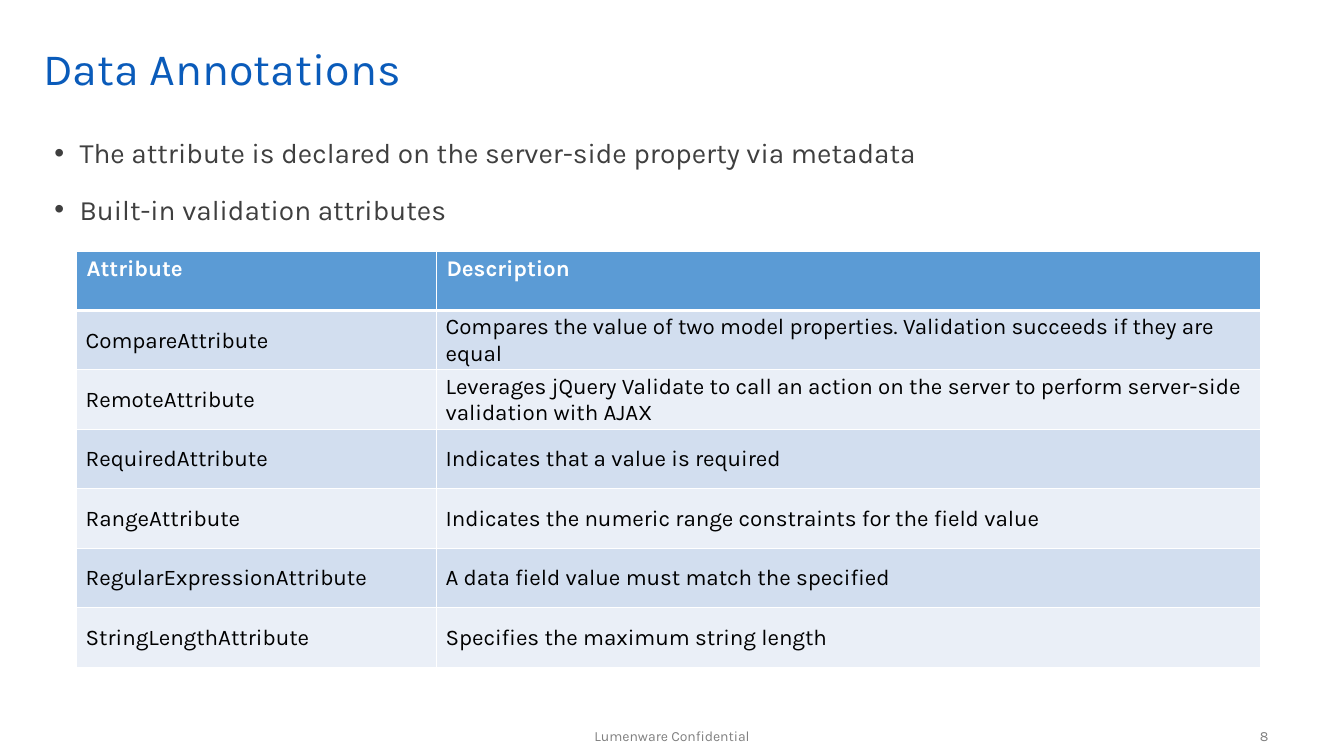
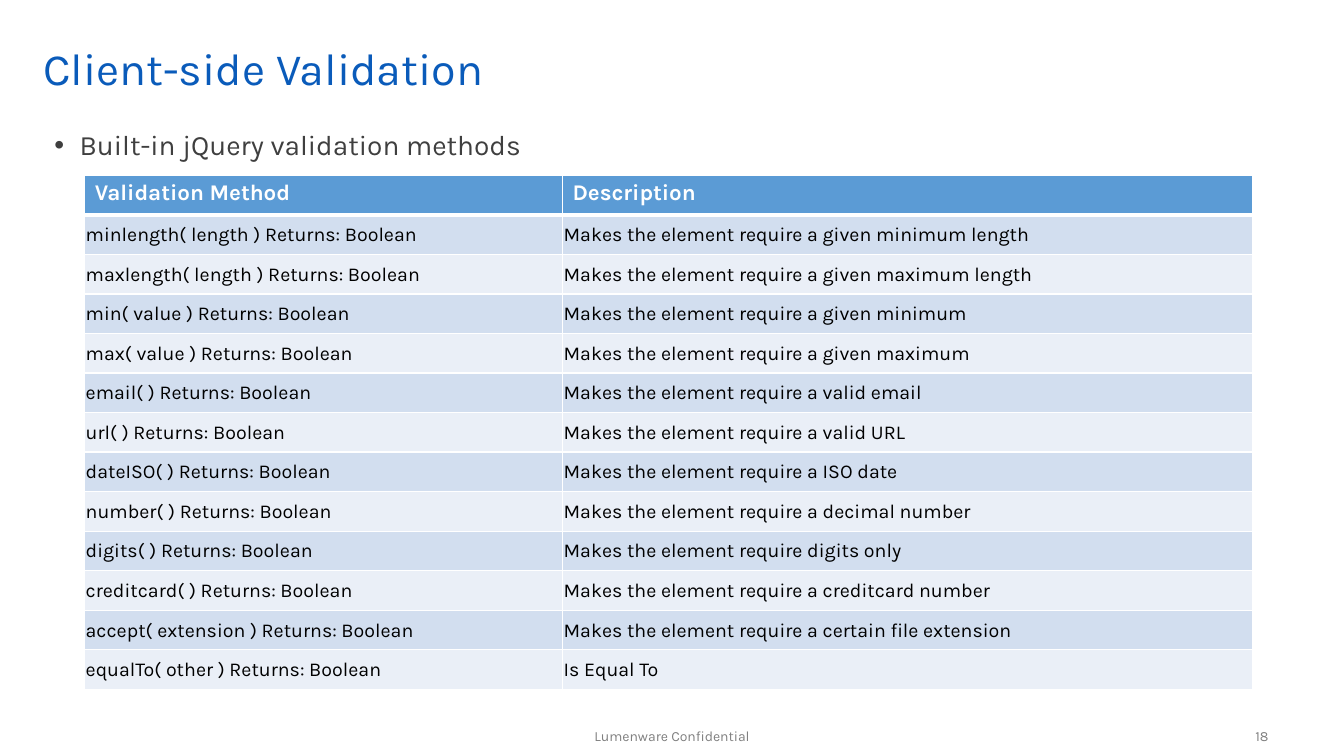
from lxml import etree
from pptx import Presentation
from pptx.dml.color import RGBColor
from pptx.enum.text import MSO_ANCHOR as ANCHOR, PP_ALIGN as ALIGN
from pptx.oxml.ns import qn
from pptx.util import Inches, Pt

FONT = "Karla"
COLORS = {
    "title": "0A5BBA",
    "body": "3F3F3F",
    "footer": "808080",
    "header": "5B9BD5",
    "band_dark": "D2DEEF",
    "band_light": "EAEFF7",
    "white": "FFFFFF",
    "black": "000000",
}
FOOTER = "Lumenware Confidential"

ATTRIBUTES = [
    ("Attribute", "Description"),
    ("CompareAttribute",
     "Compares the value of two model properties. Validation succeeds if they are equal"),
    ("RemoteAttribute",
     "Leverages jQuery Validate to call an action on the server to perform "
     "server-side validation with AJAX"),
    ("RequiredAttribute", "Indicates that a value is required"),
    ("RangeAttribute", "Indicates the numeric range constraints for the field value"),
    ("RegularExpressionAttribute", "A data field value must match the specified"),
    ("StringLengthAttribute", "Specifies the maximum string length"),
]

METHODS = [
    ("Validation Method", "Description"),
    ("minlength( length ) Returns: Boolean", "Makes the element require a given minimum length"),
    ("maxlength( length ) Returns: Boolean", "Makes the element require a given maximum length"),
    ("min( value ) Returns: Boolean", "Makes the element require a given minimum"),
    ("max( value ) Returns: Boolean", "Makes the element require a given maximum"),
    ("email( ) Returns: Boolean", "Makes the element require a valid email"),
    ("url( ) Returns: Boolean", "Makes the element require a valid URL"),
    ("dateISO( ) Returns: Boolean", "Makes the element require a ISO date"),
    ("number( ) Returns: Boolean", "Makes the element require a decimal number"),
    ("digits( ) Returns: Boolean", "Makes the element require digits only"),
    ("creditcard( ) Returns: Boolean", "Makes the element require a creditcard number"),
    ("accept( extension ) Returns: Boolean",
     "Makes the element require a certain file extension"),
    ("equalTo( other ) Returns: Boolean", "Is Equal To"),
]


def rgb(name):
    return RGBColor.from_string(COLORS[name])


def set_borders(cell, top=1, bottom=1):
    """Draw white cell borders; widths are in points."""
    tc_pr = cell._tc.get_or_add_tcPr()
    widths = {"a:lnL": 1, "a:lnR": 1, "a:lnT": top, "a:lnB": bottom}
    for i, (tag, width) in enumerate(widths.items()):
        ln = etree.Element(qn(tag), w=str(Pt(width)))
        fill = etree.SubElement(ln, qn("a:solidFill"))
        etree.SubElement(fill, qn("a:srgbClr"), val=COLORS["white"])
        tc_pr.insert(i, ln)


def set_bullet(p, indent=0.25):
    p_pr = p._p.get_or_add_pPr()
    p_pr.set("marL", str(Inches(indent)))
    p_pr.set("indent", str(-Inches(indent)))
    etree.SubElement(p_pr, qn("a:buFont"), typeface="Arial")
    etree.SubElement(p_pr, qn("a:buChar"), char="•")


class Deck:
    """Holds the shared style and the current slide."""

    def __init__(self):
        self.prs = Presentation()
        self.prs.slide_width = Inches(13.33)
        self.prs.slide_height = Inches(7.5)
        self.s = None

    def run(self, p, text, size, color, bold=False):
        r = p.add_run()
        r.text = text
        r.font.name = FONT
        r.font.size = Pt(size)
        r.font.bold = bold
        r.font.color.rgb = rgb(color)

    def frame(self, x, y, w, h, anchor=ANCHOR.MIDDLE):
        """Add a wrapping text box and return its text frame."""
        tf = self.s.shapes.add_textbox(Inches(x), Inches(y), Inches(w), Inches(h)).text_frame
        tf.word_wrap = True
        tf.vertical_anchor = anchor
        return tf

    def slide(self, title, number):
        """Start a slide with its title, footer and page number."""
        self.s = self.prs.slides.add_slide(self.prs.slide_layouts[6])
        self.footer(5.11, 3.11, FOOTER, ALIGN.CENTER)
        p = self.frame(0.33, 0.33, 12.33, 0.75).paragraphs[0]
        p.line_spacing = 0.9
        self.run(p, title, 32, "title")
        self.footer(9.68, 3, str(number), ALIGN.RIGHT)

    def footer(self, x, w, text, align):
        p = self.frame(x, 7.1, w, 0.4).paragraphs[0]
        p.alignment = align
        self.run(p, text, 10, "footer")

    def bullets(self, items, line_spacing):
        tf = self.frame(0.44, 1.25, 12.22, 5.42, ANCHOR.TOP)
        for i, item in enumerate(items):
            p = tf.add_paragraph() if i else tf.paragraphs[0]
            p.line_spacing = line_spacing
            p.space_before = Pt(10)
            p.space_after = Pt(3)
            set_bullet(p)
            self.run(p, item, 20, "body")

    def table(self, x, y, h, col_widths, rows, size, left_margin):
        """Add a banded table; size and left_margin apply below the header."""
        table = self.s.shapes.add_table(
            len(rows), len(col_widths), Inches(x), Inches(y),
            Inches(sum(col_widths)), Inches(h)).table
        for column, width in zip(table.columns, col_widths):
            column.width = Inches(width)
        for i, row in enumerate(rows):
            for j, text in enumerate(row):
                cell = table.cell(i, j)
                cell.fill.solid()
                p = cell.text_frame.paragraphs[0]
                if i == 0:
                    cell.fill.fore_color.rgb = rgb("header")
                    set_borders(cell, bottom=3)
                    self.run(p, text, 16, "white", bold=True)
                    continue
                cell.fill.fore_color.rgb = rgb("band_dark" if i % 2 else "band_light")
                set_borders(cell, top=3 if i == 1 else 1)
                cell.vertical_anchor = ANCHOR.MIDDLE
                cell.margin_left = Inches(left_margin)
                cell.margin_top = cell.margin_right = Inches(0.01)
                cell.margin_bottom = 0
                self.run(p, text, size, "black")


def main():
    deck = Deck()

    deck.slide("Data Annotations", 8)
    deck.bullets(["The attribute is declared on the server-side property via metadata",
                  "Built-in validation attributes"], line_spacing=1.14)
    deck.table(0.76, 2.49, 4.13, (3.57, 8.17), ATTRIBUTES, size=16, left_margin=0.09)

    deck.slide("Client-side Validation", 18)
    deck.bullets(["Built-in jQuery validation methods"], line_spacing=0.9)
    deck.table(0.84, 1.74, 5.1, (4.74, 6.84), METHODS, size=14, left_margin=0.01)

    deck.prs.save("out.pptx")


if __name__ == "__main__":
    main()
